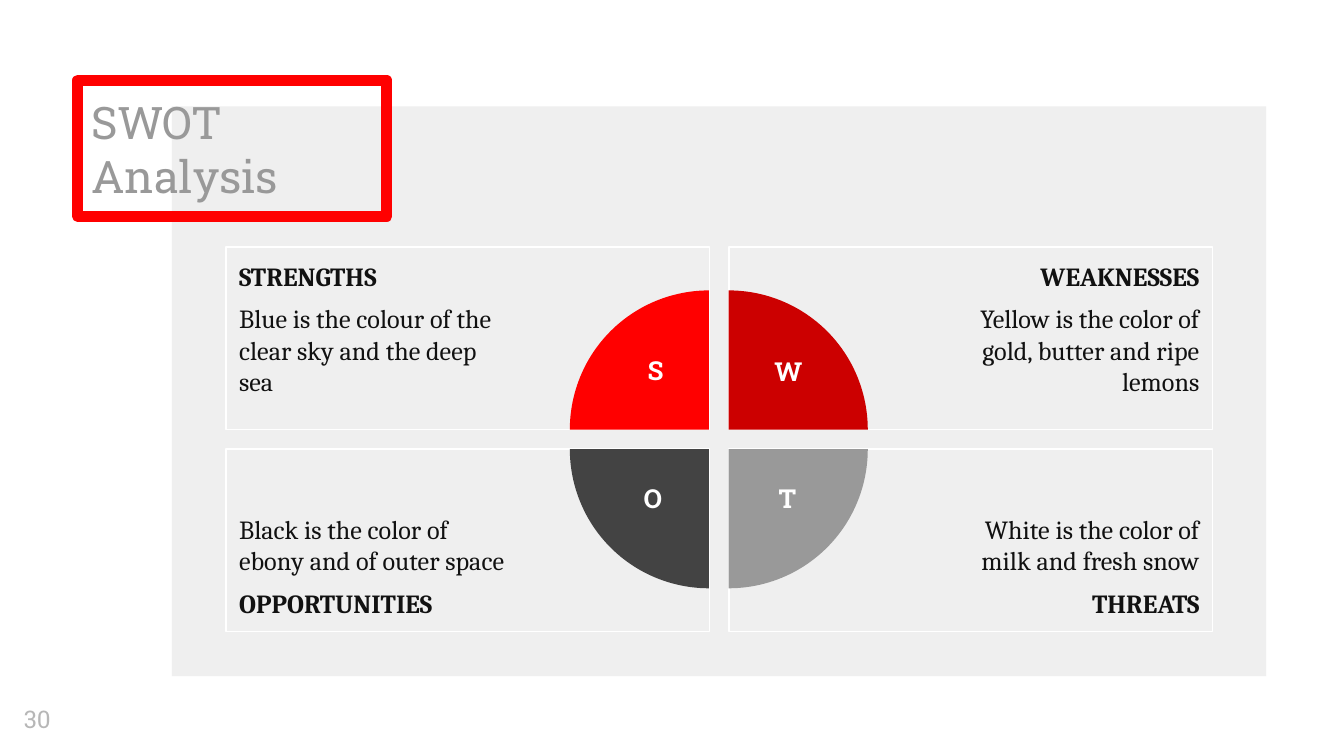
from typing import NamedTuple

from pptx import Presentation
from pptx.dml.color import RGBColor
from pptx.enum import shapes as sh, text as tx
from pptx.util import Cm, Pt

SLAB, SERIF = "Roboto Slab", "Cambria"
LEFT, TOP = 4.27, 4.67
WIDE, HIGH = 9.14, 3.45
GAP = 0.37
PIE = 5.26
PIE_LEFT, PIE_TOP = 10.77, 5.49
PAD, PIE_PAD = 0.25, 3.81


class Part(NamedTuple):
    col: int
    row: int
    head: str
    body: str
    fill: str
    turn: int
    mark: tuple[float, float, float]  # left, top, width of the letter box


PARTS = [
    Part(0, 0, "STRENGTHS", "Blue is the colour of the clear sky and the deep sea",
         "FF0000", 0, (11.99, 6.58, 0.71)),
    Part(1, 0, "WEAKNESSES", "Yellow is the color of gold, butter and ripe lemons",
         "CC0000", 90, (14.2, 6.6, 1.4)),
    Part(0, 1, "OPPORTUNITIES", "Black is the color of ebony and of outer space",
         "434343", 270, (11.91, 8.99, 0.86)),
    Part(1, 1, "THREATS", "White is the color of milk and fresh snow",
         "999999", 180, (14.45, 8.99, 0.86)),
]


def tint(hue: str) -> RGBColor:
    return RGBColor.from_string(hue)


def style(para, size: float, face: str, hue: str, bold: bool = False) -> None:
    for run in para.runs:
        font = run.font
        font.size, font.name, font.bold = Pt(size), face, bold
        font.color.rgb = tint(hue)


def inset(frame, left: float = PAD, right: float = PAD) -> None:
    frame.margin_left, frame.margin_right = Cm(left), Cm(right)
    frame.margin_top = frame.margin_bottom = Cm(PAD)


def add_form(slide, kind, box: tuple, fill: str = "", line: str = ""):
    """Add a flat preset shape; an empty colour means none."""
    form = slide.shapes.add_shape(kind, *map(Cm, box))
    form.shadow.inherit = False
    if fill:
        form.fill.solid()
        form.fill.fore_color.rgb = tint(fill)
    else:
        form.fill.background()
    if line:
        form.line.color.rgb = tint(line)
        form.line.width = Pt(0.75)
    else:
        form.line.fill.background()
    return form


def add_card(slide, part: Part) -> None:
    box = (LEFT + part.col * (WIDE + GAP), TOP + part.row * (HIGH + GAP), WIDE, HIGH)
    frame = add_form(slide, sh.MSO_SHAPE.RECTANGLE, box, line="FFFFFF").text_frame
    frame.word_wrap = True
    inset(frame, *((PIE_PAD, PAD) if part.col else (PAD, PIE_PAD)))
    frame.vertical_anchor = tx.MSO_ANCHOR.BOTTOM if part.row else tx.MSO_ANCHOR.TOP
    lines = [part.body, part.head] if part.row else [part.head, part.body]
    frame.text = "\n".join(lines)
    for para in frame.paragraphs:
        para.alignment = tx.PP_ALIGN.RIGHT if part.col else tx.PP_ALIGN.LEFT
        style(para, 14, SERIF, "111111", para.text == part.head)
    last = frame.paragraphs[-1]
    last.space_before = last.space_after = Pt(6)


def add_wedge(slide, part: Part) -> None:
    box = (PIE_LEFT + part.col * GAP, PIE_TOP + part.row * GAP, PIE, PIE)
    wedge = add_form(slide, sh.MSO_SHAPE.PIE, box, fill=part.fill)
    wedge.adjustments[0], wedge.adjustments[1] = 108, 162  # upper left quarter
    wedge.rotation = part.turn


def add_mark(slide, part: Part) -> None:
    frame = slide.shapes.add_textbox(*map(Cm, (*part.mark, 0.98))).text_frame
    frame.text = part.head[0]
    para = frame.paragraphs[0]
    para.alignment = tx.PP_ALIGN.CENTER
    style(para, 14, SLAB, "FFFFFF", True)


def add_title(slide) -> None:
    title = slide.shapes.title
    title.left, title.top, title.width, title.height = map(Cm, (1.47, 1.52, 5.84, 2.57))
    title.line.color.rgb = tint("FF0000")
    title.line.width = Pt(6)
    frame = title.text_frame
    frame.text = "SWOT Analysis"
    frame.word_wrap = True
    frame.auto_size = tx.MSO_AUTO_SIZE.NONE
    inset(frame)
    para = frame.paragraphs[0]
    para.alignment = tx.PP_ALIGN.LEFT
    style(para, 24, SLAB, "999999")


def main() -> None:
    deck = Presentation()
    deck.slide_width, deck.slide_height = Cm(25.4), Cm(14.29)
    slide = deck.slides.add_slide(deck.slide_layouts[5])
    panel = add_form(slide, sh.MSO_SHAPE.RECTANGLE, (3.25, 2.01, 20.68, 10.77), "EFEFEF")
    slide.shapes.title.element.addprevious(panel.element)
    add_title(slide)

    page = slide.shapes.add_textbox(*map(Cm, (0.2, 13.06, 1.52, 1.09))).text_frame
    page.text = "30"
    inset(page)
    style(page.paragraphs[0], 13, SLAB, "B7B7B7")

    for draw in (add_card, add_wedge, add_mark):
        for part in PARTS:
            draw(slide, part)
    deck.save("out.pptx")


if __name__ == "__main__":
    main()
